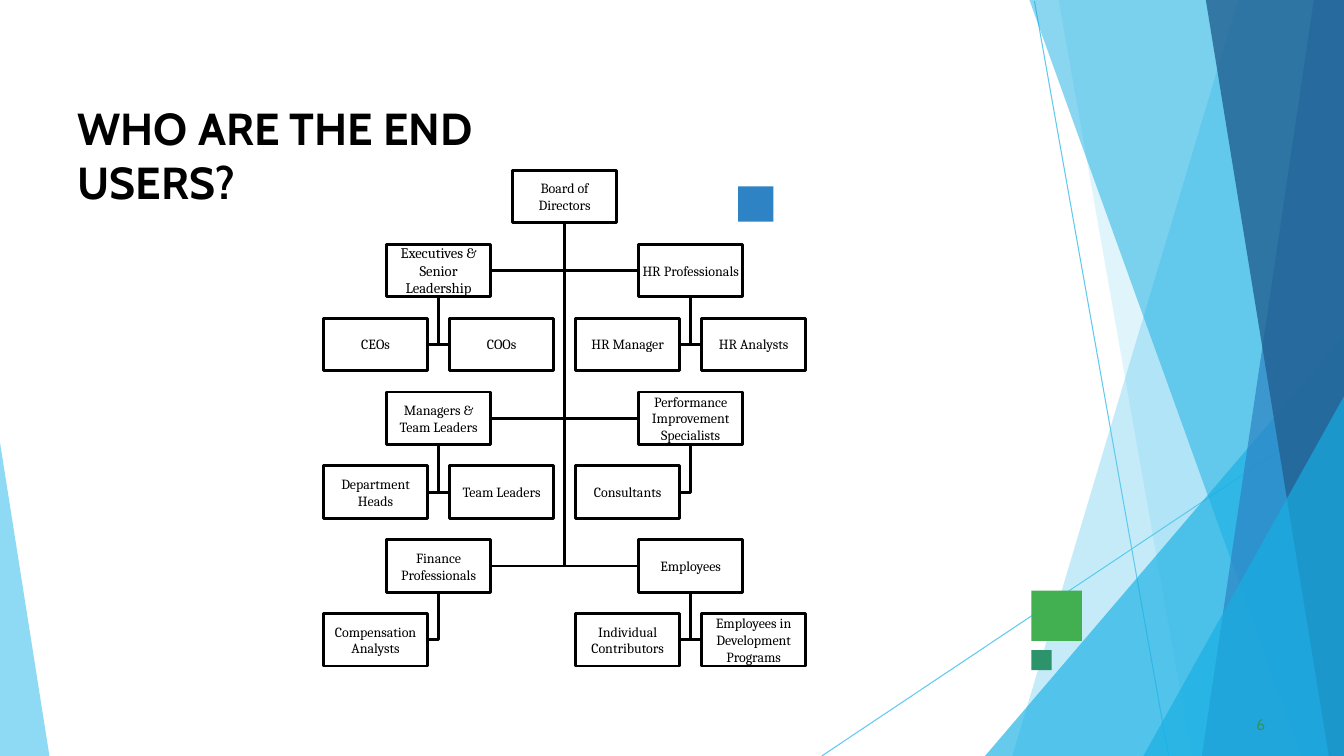
from lxml import etree
from pptx import Presentation
from pptx import util as u
from pptx.dml.color import RGBColor
from pptx.enum import shapes, text
from pptx.oxml.ns import qn

WIDTH, HEIGHT = 13.33, 7.5
BOX_WIDTH, BOX_HEIGHT = 1.03, 0.52
BLACK, WHITE = "000000", "FFFFFF"

# Backdrop facets: colour, opacity in percent, corners
FACETS = [
    ("5FCAEE", 36, [(WIDTH, 0), (12.28, 0), (10.04, HEIGHT), (WIDTH, HEIGHT)]),
    ("5FCAEE", 20, [(WIDTH, 0), (10.5, 0), (11.82, HEIGHT), (WIDTH, HEIGHT)]),
    ("17AFE3", 66, [(WIDTH, 3.33), (9.77, HEIGHT), (WIDTH, HEIGHT)]),
    ("17AFE3", 50, [(WIDTH, 0), (10.21, 0), (12.91, HEIGHT), (WIDTH, HEIGHT)]),
    ("2D83C3", 70, [(WIDTH, 0), (13.03, 0), (11.92, HEIGHT), (WIDTH, HEIGHT)]),
    ("226192", 80, [(WIDTH, 0), (11.96, 0), (13.18, HEIGHT), (WIDTH, HEIGHT)]),
    ("17AFE3", 66, [(WIDTH, 3.93), (11.34, HEIGHT), (WIDTH, HEIGHT)]),
    ("5FCAEE", 70, [(0, 4.39), (0, HEIGHT), (0.49, HEIGHT)]),
]

# Groups of end users: column, row, name, members by column offset
GROUPS = [
    (1, 1, "Executives & Senior Leadership", {-1: "CEOs", 1: "COOs"}),
    (5, 1, "HR Professionals", {-1: "HR Manager", 1: "HR Analysts"}),
    (1, 3, "Managers & Team Leaders", {-1: "Department Heads", 1: "Team Leaders"}),
    (5, 3, "Performance Improvement Specialists", {-1: "Consultants"}),
    (1, 5, "Finance Professionals", {-1: "Compensation Analysts"}),
    (5, 5, "Employees",
     {-1: "Individual Contributors", 1: "Employees in Development Programs"}),
]


def colour(value):
    return RGBColor.from_string(value)


def write(shape, words, size, font="Cambria", color=BLACK, bold=False,
          align=text.PP_ALIGN.LEFT, anchor=text.MSO_ANCHOR.TOP,
          insets=(0, 0, 0, 0), before=0):
    frame = shape.text_frame
    frame.word_wrap = True
    frame.vertical_anchor = anchor
    (frame.margin_left, frame.margin_top,
     frame.margin_right, frame.margin_bottom) = map(u.Inches, insets)
    para = frame.paragraphs[0]
    para.alignment = align
    para.space_before = u.Pt(before)
    span = para.add_run()
    span.text = words
    span.font.size, span.font.name, span.font.bold = u.Pt(size), font, bold
    span.font.color.rgb = colour(color)


def add_label(page, left, top, width, height, words, **style):
    box = page.shapes.add_textbox(*map(u.Inches, (left, top, width, height)))
    write(box, words, **style)


def add_rectangle(page, left, top, width, height, fill, line=None):
    box = page.shapes.add_shape(shapes.MSO_SHAPE.RECTANGLE,
                                *map(u.Inches, (left, top, width, height)))
    box.shadow.inherit = False
    box.fill.solid()
    box.fill.fore_color.rgb = colour(fill)
    if line:
        box.line.color.rgb = colour(line)
        box.line.width = u.Pt(2)
    else:
        box.line.fill.background()
    return box


def add_outline(page, points, close):
    corners = [(u.Inches(x), u.Inches(y)) for x, y in points]
    builder = page.shapes.build_freeform(*corners[0])
    builder.add_line_segments(corners[1:], close=close)
    outline = builder.convert_to_shape()
    outline.shadow.inherit = False
    return outline


def add_facet(page, fill, opacity, points):
    facet = add_outline(page, points, close=True)
    facet.fill.solid()
    facet.fill.fore_color.rgb = colour(fill)
    facet.line.fill.background()
    tint = facet.fill._xPr.find(qn("a:solidFill"))[0]
    etree.SubElement(tint, qn("a:alpha")).set("val", str(opacity * 1000))


def add_thin_line(page, *ends):
    line = page.shapes.add_connector(shapes.MSO_CONNECTOR.STRAIGHT,
                                     *map(u.Inches, ends))
    line.line.color.rgb = colour("5FCAEE")
    line.line.width = u.Pt(0.75)
    etree.SubElement(line._element.spPr, qn("a:effectLst"))


def place(column, row):
    """Top left corner of a chart box on the half-box grid."""
    return 3.21 + 0.625 * column, 1.69 + 0.733 * row


def add_elbow(page, parent, child):
    """Line from the parent's bottom down and across to the child's near side."""
    (parent_left, parent_top), (child_left, child_top) = place(*parent), place(*child)
    stem = parent_left + BOX_WIDTH / 2
    level = child_top + BOX_HEIGHT / 2
    side = child_left + (BOX_WIDTH if child[0] < parent[0] else 0)
    elbow = add_outline(page, [(stem, parent_top + BOX_HEIGHT), (stem, level),
                               (side, level)], close=False)
    elbow.fill.background()
    elbow.line.color.rgb = colour(BLACK)
    elbow.line.width = u.Pt(2)


def add_chart_box(page, spot, words, size=10):
    box = add_rectangle(page, *place(*spot), BOX_WIDTH, BOX_HEIGHT, WHITE, BLACK)
    write(box, words, size, align=text.PP_ALIGN.CENTER,
          anchor=text.MSO_ANCHOR.MIDDLE, insets=(0.01,) * 4)


def add_organisation_chart(page):
    board = (3, 0)
    boxes = [(board, "Board of Directors")]
    for column, row, name, members in GROUPS:
        group = (column, row)
        add_elbow(page, board, group)
        boxes.append((group, name))
        for offset, member in members.items():
            spot = (column + offset, row + 1)
            add_elbow(page, group, spot)
            boxes.append((spot, member))
    for spot, words in boxes:
        add_chart_box(page, spot, words, 10.5 if spot == (1, 1) else 10)


def main():
    deck = Presentation()
    deck.slide_width, deck.slide_height = u.Inches(WIDTH), u.Inches(HEIGHT)
    page = deck.slides.add_slide(deck.slide_layouts[6])

    # Backdrop
    add_thin_line(page, 10.26, 0.01, 11.59, HEIGHT)
    add_thin_line(page, WIDTH, 4.04, 8.15, HEIGHT)
    for facet in FACETS:
        add_facet(page, *facet)

    # Accent squares
    for left, top, size, fill in [(10.23, 5.86, 0.5, "42AF51"),
                                  (7.32, 1.85, 0.35, "2D83C3"),
                                  (10.23, 6.45, 0.2, "2D936B")]:
        add_rectangle(page, left, top, size, size, fill)

    # Title and page number
    add_label(page, 0.76, 0.98, 5.48, 0.57, "WHO ARE THE END USERS?", size=32,
              font="Cabin", bold=True, insets=(0.01, 0.02, 0, 0), before=1.3)
    add_label(page, 12.42, 7.08, 0.17, 0.21, "6", size=11, font="Cabin",
              color="2D936B", insets=(0.04, 0.01, 0, 0), before=0.6)

    add_organisation_chart(page)
    deck.save("out.pptx")


if __name__ == "__main__":
    main()
